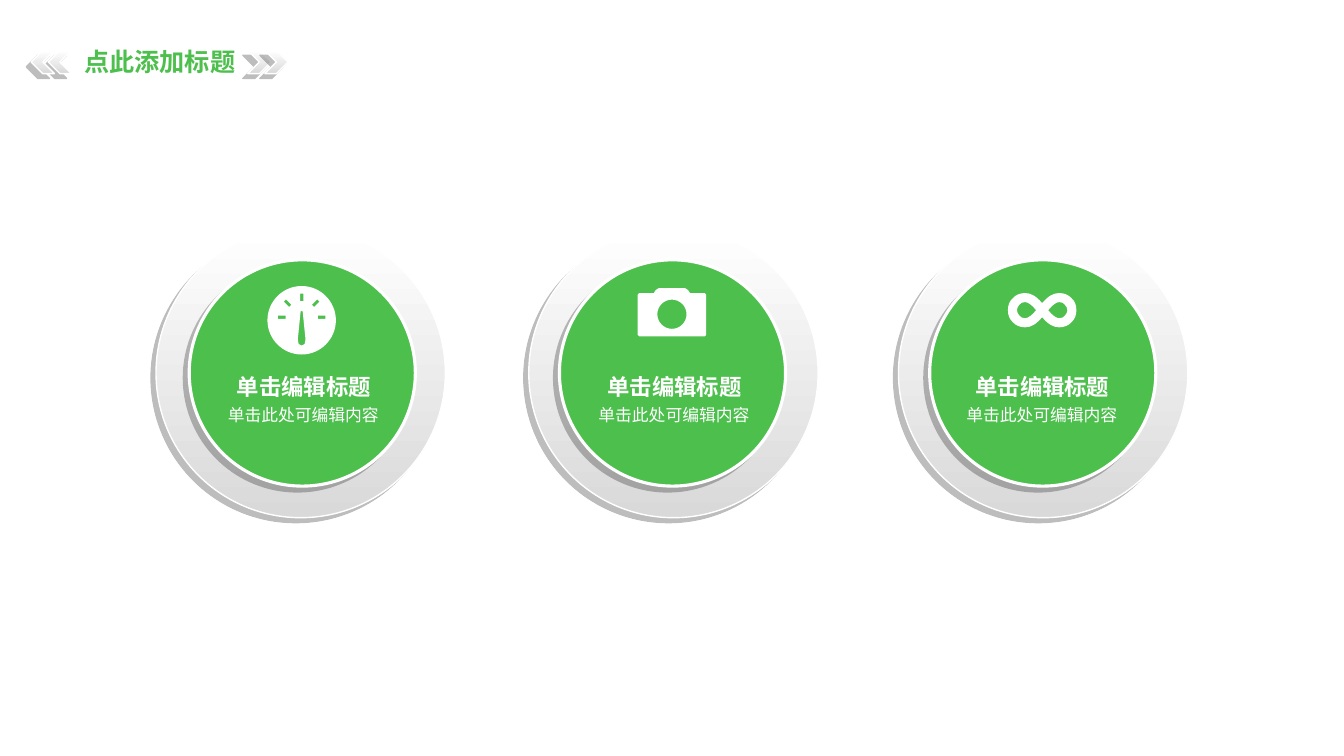
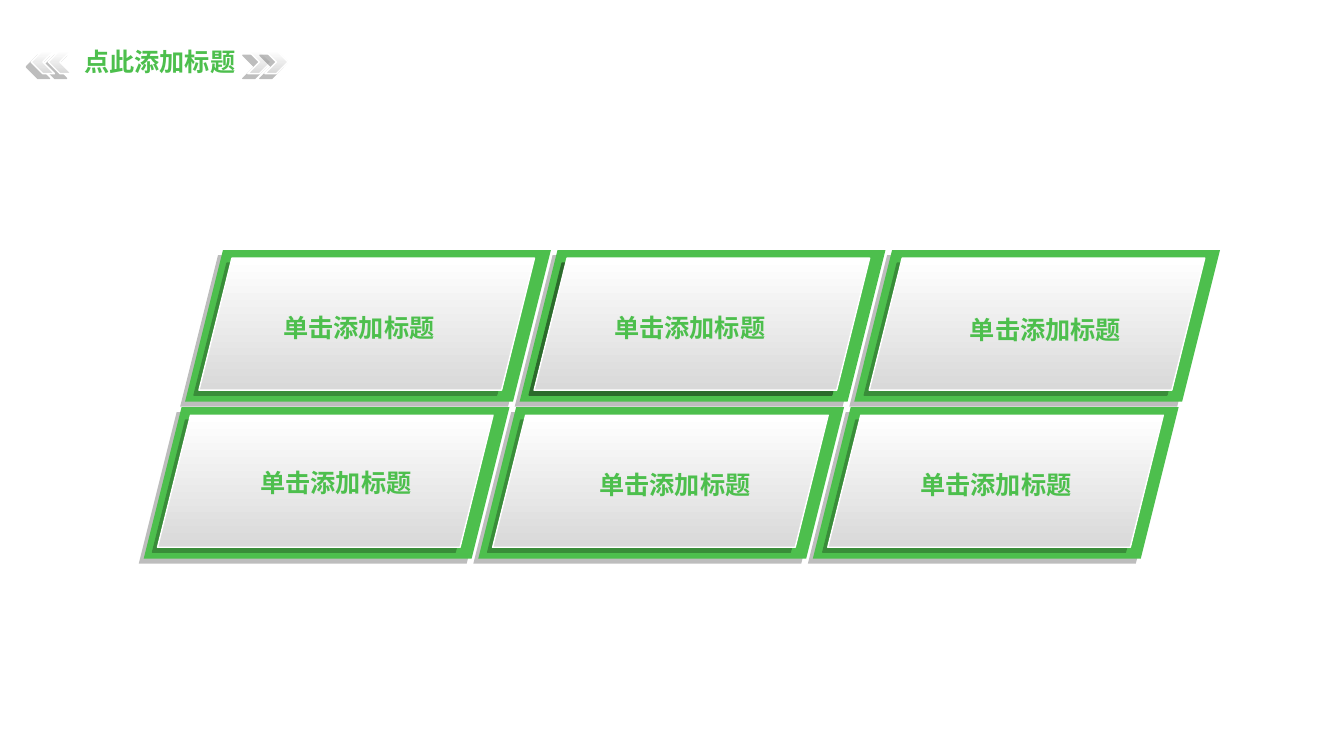
from math import cos, radians, sin

from lxml import etree
from pptx import Presentation
from pptx.dml.color import RGBColor
from pptx.enum.shapes import MSO_SHAPE
from pptx.enum.text import MSO_ANCHOR, MSO_AUTO_SIZE, PP_ALIGN
from pptx.oxml.ns import qn
from pptx.util import Pt

ELLIPSE = MSO_SHAPE.OVAL
PARALLELOGRAM = MSO_SHAPE.PARALLELOGRAM
MIDDLE = MSO_ANCHOR.MIDDLE
NO_AUTOFIT = MSO_AUTO_SIZE.NONE
CENTER, LEFT = PP_ALIGN.CENTER, PP_ALIGN.LEFT

GREEN, WHITE, SILVER, BLACK = "4DBF4D", "FFFFFF", "D9D9D9", "000000"
LATIN_FONT, CHINESE_FONT = "Arial", "Noto Sans CJK SC"
TITLE_ONLY = 5
ICON_UNIT = 0.72


def rgb(hex_code):
    return RGBColor.from_string(hex_code)


def place(shape, left, top, width, height):
    shape.left, shape.top = Pt(left), Pt(top)
    shape.width, shape.height = Pt(width), Pt(height)


def set_text(shape, text, size, color, bold=True, align=CENTER, font=LATIN_FONT):
    frame = shape.text_frame
    frame.text = text
    frame.word_wrap = True
    frame.auto_size = NO_AUTOFIT
    frame.vertical_anchor = MIDDLE
    frame.margin_left = frame.margin_right = 0
    frame.margin_top = frame.margin_bottom = 0
    para = frame.paragraphs[0]
    para.alignment = align
    span = para.runs[0]
    span.font.size = Pt(size)
    span.font.bold = bold
    span.font.name = font
    span.font.color.rgb = rgb(color)
    east_asian = etree.SubElement(span.font._element, qn("a:ea"))
    east_asian.set("typeface", CHINESE_FONT)


def add_label(page, box, text, size, color, **style):
    label = page.shapes.add_textbox(*map(Pt, box))
    set_text(label, text, size, color, **style)


def set_outline(shape, color, width):
    shape.line.color.rgb = rgb(color)
    shape.line.width = Pt(width)


def cast_shadow(shape, opacity=25):
    """Give the shape a hard shadow 5 pt away, to the lower left."""
    shape.shadow.inherit = False
    effects = shape._element.spPr.find(qn("a:effectLst"))
    shadow = etree.SubElement(effects, qn("a:outerShdw"), blurRad="0",
                              dist=str(Pt(5)), dir="8100000", algn="tr", rotWithShape="0")
    color = etree.SubElement(shadow, qn("a:srgbClr"), val=BLACK)
    etree.SubElement(color, qn("a:alpha"), val=str(opacity * 1000))


def make_raised(shape, opacity=25):
    """White to silver from top to bottom, with a white edge and a shadow."""
    shape.fill.gradient()
    shape.fill.gradient_angle = 270
    for stop, color in zip(shape.fill.gradient_stops, (WHITE, SILVER)):
        stop.color.rgb = rgb(color)
    set_outline(shape, WHITE, 1)
    cast_shadow(shape, opacity)


def make_green(shape):
    shape.fill.solid()
    shape.fill.fore_color.rgb = rgb(GREEN)
    shape.line.fill.background()
    cast_shadow(shape)


def add_outline(page, left, top, curved=(), straight=(), unit=1):
    """Draw closed contours as one freeform; inner contours become holes.

    A curved contour lists a start, then three Bezier points for each segment.
    """
    builder = None
    for contour in (*curved, *straight):
        points = [(Pt(left + x * unit), Pt(top + y * unit)) for x, y in contour]
        if builder is None:
            builder = page.shapes.build_freeform(*points[0], scale=1.0)
        else:
            builder.move_to(*points[0])
        builder.add_line_segments(points[1:], close=True)
    shape = builder.convert_to_shape()
    lines = list(shape._element.iter(qn("a:lnTo")))
    for first in range(0, sum(len(contour) - 1 for contour in curved), 3):
        segment = lines[first]
        bezier = etree.Element(qn("a:cubicBezTo"))
        segment.addprevious(bezier)
        for line in lines[first:first + 3]:
            bezier.append(line[0])
            line.getparent().remove(line)
    return shape


def circle(center_x, center_y, radius):
    """Bezier points of a circle in four segments."""
    k = 0.55
    points = [(1, 0), (1, k), (k, 1), (0, 1), (-k, 1), (-1, k), (-1, 0),
              (-1, -k), (-k, -1), (0, -1), (k, -1), (1, -k), (1, 0)]
    return [(center_x + radius * x, center_y + radius * y) for x, y in points]


def gauge_contours():
    def tick(angle):
        along, across = cos(radians(angle)), sin(radians(angle))
        corners = ((16, -1.6), (23.5, -1.6), (23.5, 1.6), (16, 1.6))
        return [(34 + r * along + s * across, 31 - r * across + s * along)
                for r, s in corners]

    needle = [(33, 25), (35, 25), (37.8, 53), (37, 57.5), (34, 59), (31, 57.5), (30.2, 53)]
    return {"curved": [circle(34, 34, 34)],
            "straight": [*map(tick, range(0, 181, 45)), needle]}


def camera_contours():
    body = [(1.5, 7), (16, 7), (18, 4), (21, 2), (47, 2), (50, 4), (52, 7),
            (66.5, 7), (68, 8.5), (68, 48.5), (66.5, 50), (1.5, 50), (0, 48.5), (0, 8.5)]
    return {"curved": [circle(34, 28, 14.5)], "straight": [body]}


def infinity_contours():
    def add_upper(lower):
        return lower + [(x, 48 - y) for x, y in reversed(lower[:-1])]

    def half_turn(points):
        return [(68 - x, 48 - y) for x, y in points]

    rim = add_upper([(34, 31), (28, 38), (23, 41), (17, 41), (12, 41), (7.5, 39),
                     (5, 36), (1.5, 33), (0, 29), (0, 24)])
    hole = add_upper([(28, 24), (24, 29), (20, 32), (17, 32), (14, 32), (13, 31),
                      (11.5, 29.5), (10, 28), (9, 26), (9, 24)])
    return {"curved": [rim + half_turn(rim)[1:], hole, half_turn(hole)]}


def add_header(page, text, left=51.1, top=29.5, width=126, height=28.8):
    """Place the title between two pairs of chevrons that point outwards."""
    title = page.shapes.title
    place(title, left, top, width, height)
    set_text(title, text, 18, GREEN, font=CHINESE_FONT)
    half = 8.3
    chevron = [(0, 0), (half, 0), (2 * half, half), (half, 2 * half),
               (0, 2 * half), (half, half)]
    for start, direction in ((left + width, 1), (left, -1)):
        for offset in (0, 12.2):
            contour = [(direction * (offset + x), y) for x, y in chevron]
            make_raised(add_outline(page, start, top + 6.5, straight=[contour]))


def add_disc(page, center_x, center_y, icon_contours, ring_shift, text_shift,
             heading, detail):
    def add_circle(middle, diameter):
        radius = diameter / 2
        return page.shapes.add_shape(ELLIPSE, Pt(middle - radius), Pt(center_y - radius),
                                     Pt(diameter), Pt(diameter))

    make_raised(add_circle(center_x + ring_shift, 206.8))
    face = add_circle(center_x, 161.6)
    make_green(face)
    set_outline(face, WHITE, 2.25)
    icon = add_outline(page, center_x - 0.4 - 34 * ICON_UNIT, center_y - 62.1,
                       unit=ICON_UNIT, **icon_contours)
    icon.fill.solid()
    icon.fill.fore_color.rgb = rgb(WHITE)
    icon.line.fill.background()
    icon.shadow.inherit = False
    text_left = center_x - 53.2 + text_shift
    add_label(page, (text_left, center_y - 0.2, 108.7, 19.4), heading, 16, WHITE)
    add_label(page, (text_left, center_y + 22.9, 122.4, 14.4), detail, 12, WHITE,
              bold=False, align=LEFT)


def add_card(page, left, top, text, face_shift, label_shift, opacity):
    """A green parallelogram with a raised face and a label near its middle."""
    width, height = 261.4, 108.2

    def add_parallelogram(*box):
        shape = page.shapes.add_shape(PARALLELOGRAM, *map(Pt, box))
        shape.adjustments[0] = 0.25
        return shape

    make_green(add_parallelogram(left, top, width, height))
    make_raised(add_parallelogram(left + face_shift, top + 5.7, 239.8, 94.3), opacity)
    shift_x, shift_y = label_shift
    label_width, label_height = 177, 28.8
    add_label(page, (left + (width - label_width) / 2 + shift_x,
                     top + (height - label_height) / 2 + shift_y,
                     label_width, label_height), text, 18, GREEN)


def build_disc_slide(page):
    add_header(page, "点此添加标题")
    discs = ((gauge_contours(), -1.1, 0), (camera_contours(), 0.7, 0.3),
             (infinity_contours(), 0.3, -1.4))
    for column, (contours, ring_shift, text_shift) in enumerate(discs):
        add_disc(page, 216 + 264.6 * column, 266.4, contours, ring_shift, text_shift,
                 "单击编辑标题", "单击此处可编辑内容")


def build_card_slide(page):
    add_header(page, "点此添加标题")
    label_shifts = (((-6.5, 1.2), (-9.2, 1.2), (6, 2.5)),
                    ((6.7, -0.7), (9.8, 1.2), (0.2, 1.2)))
    for row, shifts in enumerate(label_shifts):
        for column, shift in enumerate(shifts):
            opacity = 44 if (row, column) == (0, 1) else 25
            add_card(page, 132.3 + 239.1 * column - 29.6 * row, 178.7 + 112.2 * row,
                     "单击添加标题", 9.9 + 0.4 * column, shift, opacity)


def main():
    deck = Presentation()
    deck.slide_width, deck.slide_height = Pt(960.48), Pt(540)
    for build in (build_disc_slide, build_card_slide):
        build(deck.slides.add_slide(deck.slide_layouts[TITLE_ONLY]))
    deck.save("out.pptx")


if __name__ == "__main__":
    main()
